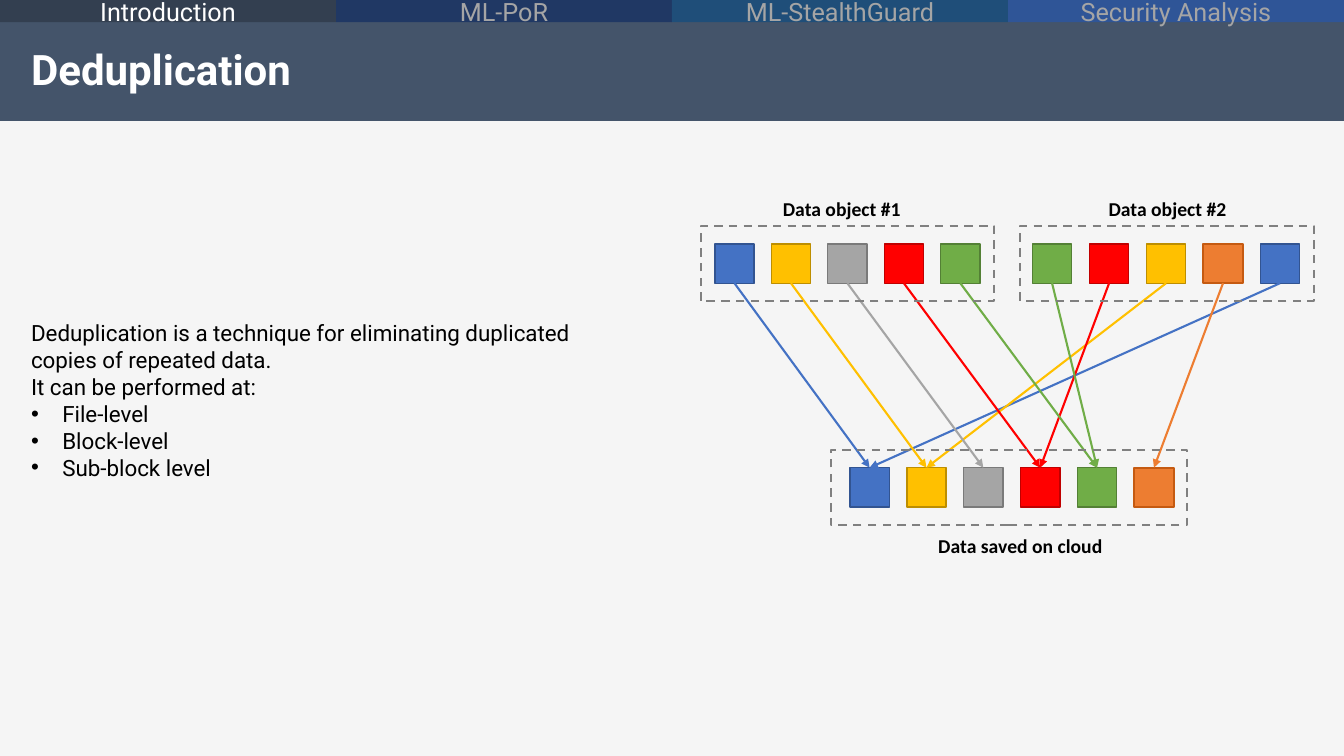
from dataclasses import dataclass

from lxml import etree
from pptx import Presentation
from pptx.dml.color import RGBColor
from pptx.enum.dml import MSO_LINE
from pptx.enum.shapes import MSO_CONNECTOR, MSO_SHAPE
from pptx.enum.text import MSO_ANCHOR, PP_ALIGN
from pptx.oxml.ns import qn
from pptx.util import Inches, Pt

RECTANGLE = MSO_SHAPE.RECTANGLE
STRAIGHT = MSO_CONNECTOR.STRAIGHT
DASH = MSO_LINE.DASH
TOP, MIDDLE = MSO_ANCHOR.TOP, MSO_ANCHOR.MIDDLE
LEFT, CENTER = PP_ALIGN.LEFT, PP_ALIGN.CENTER


@dataclass(frozen=True)
class Theme:
    font: str = "Roboto"
    label_font: str = "Calibri"
    title_size: float = 30
    tab_size: float = 18
    body_size: float = 16
    label_size: float = 14
    panel: str = "E7E6E6"
    title_band: str = "44546A"
    white: str = "FFFFFF"
    text: str = "000000"
    muted: str = "A5A5A5"
    frame: str = "808080"


# Block name: fill, outline, outline width
BLOCKS = {
    "blue": ("4472C4", "325491", 1),
    "yellow": ("FFC000", "BD8E00", 1),
    "grey": ("A5A5A5", "7A7A7A", 1),
    "red": ("FF0000", "C00000", 1),
    "green": ("70AD47", "538035", 1),
    "orange": ("ED7D31", "C55A11", 1.5),
}
TABS = [("Introduction", "333F50"), ("ML-PoR", "203864"),
        ("ML-StealthGuard", "1F4E79"), ("Security Analysis", "2F5597")]
BLOCK_SIZE = 0.39
OBJECT_TOP, CLOUD_TOP = 2.42, 4.64
SLIDE_WIDTH = 13.33


def color(value):
    return RGBColor.from_string(value)


def write_text(paragraph, text, *, font, size, fill, bold=False,
               align=LEFT, bullet=False, line_spacing=None):
    paragraph.text = text
    paragraph.alignment = align
    if line_spacing:
        paragraph.line_spacing = line_spacing
    if bullet:
        properties = paragraph._p.get_or_add_pPr()
        properties.set("marL", str(Inches(0.31)))
        properties.set("indent", str(Inches(-0.31)))
        etree.SubElement(properties, qn("a:buFont")).set("typeface", "Arial")
        etree.SubElement(properties, qn("a:buChar")).set("char", "•")
    run_font = paragraph.runs[0].font
    run_font.name = font
    run_font.size = Pt(size)
    run_font.bold = bold
    run_font.color.rgb = color(fill)


class SlideBuilder:
    def __init__(self, slide, theme):
        self.slide = slide
        self.theme = theme

    def rectangle(self, left, top, width, height, fill=None, line=None,
                  line_width=1, dash=None, alpha=None):
        shape = self.slide.shapes.add_shape(
            RECTANGLE, Inches(left), Inches(top), Inches(width), Inches(height))
        shape.shadow.inherit = False
        if fill:
            shape.fill.solid()
            shape.fill.fore_color.rgb = color(fill)
        else:
            shape.fill.background()
        if alpha:
            fill_color = shape.fill._xPr.find(".//" + qn("a:srgbClr"))
            etree.SubElement(fill_color, qn("a:alpha")).set("val", str(alpha * 1000))
        if line:
            shape.line.color.rgb = color(line)
            shape.line.width = Pt(line_width)
            shape.line.dash_style = dash
        else:
            shape.line.fill.background()
        return shape

    def text_box(self, left, top, width, height, lines, anchor=TOP, **style):
        """Add a box from (text, extra format) pairs sharing one style."""
        box = self.slide.shapes.add_textbox(
            Inches(left), Inches(top), Inches(width), Inches(height))
        frame = box.text_frame
        frame.word_wrap = True
        frame.vertical_anchor = anchor
        for index, (text, extra) in enumerate(lines):
            paragraph = frame.add_paragraph() if index else frame.paragraphs[0]
            write_text(paragraph, text, **style, **extra)

    def label(self, left, top, width, text):
        self.text_box(left, top, width, 0.34, [(text, {})],
                      font=self.theme.label_font, size=self.theme.label_size,
                      fill=self.theme.text, bold=True, align=CENTER)

    def tab(self, left, width, text, fill, text_color):
        shape = self.rectangle(left, 0, width, 0.22, fill)
        frame = shape.text_frame
        frame.margin_top = frame.margin_bottom = 0
        frame.vertical_anchor = MIDDLE
        write_text(frame.paragraphs[0], text, font=self.theme.font,
                   size=self.theme.tab_size, fill=text_color, align=CENTER)

    def dashed_frame(self, left, top, width):
        self.rectangle(left, top, width, 0.75, line=self.theme.frame,
                       line_width=1.5, dash=DASH)

    def block_row(self, first, last, top, names):
        """Add evenly spaced blocks and return each block's centre by name."""
        pitch = (last - first) / (len(names) - 1)
        centers = {}
        for index, name in enumerate(names):
            left = first + index * pitch
            fill, line, line_width = BLOCKS[name]
            self.rectangle(left, top, BLOCK_SIZE, BLOCK_SIZE, fill, line, line_width)
            centers[name] = left + BLOCK_SIZE / 2
        return centers

    def arrow(self, start, end, line):
        connector = self.slide.shapes.add_connector(
            STRAIGHT, *(Inches(value) for value in (*start, *end)))
        connector.line.color.rgb = color(line)
        connector.line.width = Pt(1.5)
        etree.SubElement(connector.line._get_or_add_ln(),
                         qn("a:tailEnd")).set("type", "triangle")
        etree.SubElement(connector._element.spPr, qn("a:effectLst"))


def add_header(builder):
    theme = builder.theme
    builder.rectangle(0, 1.2, SLIDE_WIDTH, 6.3, theme.panel, alpha=38)
    builder.rectangle(0, 0.22, SLIDE_WIDTH, 0.98, theme.title_band)
    tab_width = SLIDE_WIDTH / len(TABS)
    for index, (text, fill) in enumerate(TABS):
        text_color = theme.muted if index else theme.white
        builder.tab(index * tab_width, tab_width, text, fill, text_color)
    builder.text_box(0.21, 0.22, 12.87, 0.98, [("Deduplication", {})], MIDDLE,
                     font=theme.font, size=theme.title_size, fill=theme.white,
                     bold=True, line_spacing=0.9)


def add_explanation(builder):
    theme = builder.theme
    lines = [("Deduplication is a technique for eliminating duplicated "
              "copies of repeated data.", {}),
             ("It can be performed at:", {})]
    lines += [(level, {"bullet": True})
              for level in ("File-level", "Block-level", "Sub-block level")]
    builder.text_box(0.21, 3.12, 6.13, 1.72, lines, font=theme.font,
                     size=theme.body_size, fill=theme.text)


def add_diagram(builder):
    first_object = builder.block_row(
        7.09, 9.33, OBJECT_TOP, ["blue", "yellow", "grey", "red", "green"])
    second_object = builder.block_row(
        10.24, 12.5, OBJECT_TOP, ["green", "red", "yellow", "orange", "blue"])
    cloud = builder.block_row(8.43, 11.25, CLOUD_TOP, list(BLOCKS))

    for name, target in cloud.items():
        for data_object in (first_object, second_object):
            if name in data_object:
                builder.arrow((data_object[name], OBJECT_TOP + BLOCK_SIZE),
                              (target, CLOUD_TOP), BLOCKS[name][0])

    for left, top, width in ((6.95, 2.24, 2.91), (10.12, 2.24, 2.91), (8.24, 4.46, 3.53)):
        builder.dashed_frame(left, top, width)
    builder.label(7.48, 1.9, 1.74, "Data object #1")
    builder.label(10.71, 1.9, 1.74, "Data object #2")
    builder.label(9.06, 5.25, 2.12, "Data saved on cloud")


def main():
    presentation = Presentation()
    presentation.slide_width = Inches(SLIDE_WIDTH)
    presentation.slide_height = Inches(7.5)
    slide = presentation.slides.add_slide(presentation.slide_layouts[6])
    builder = SlideBuilder(slide, Theme())
    add_header(builder)
    add_explanation(builder)
    add_diagram(builder)
    presentation.save("out.pptx")


if __name__ == "__main__":
    main()
